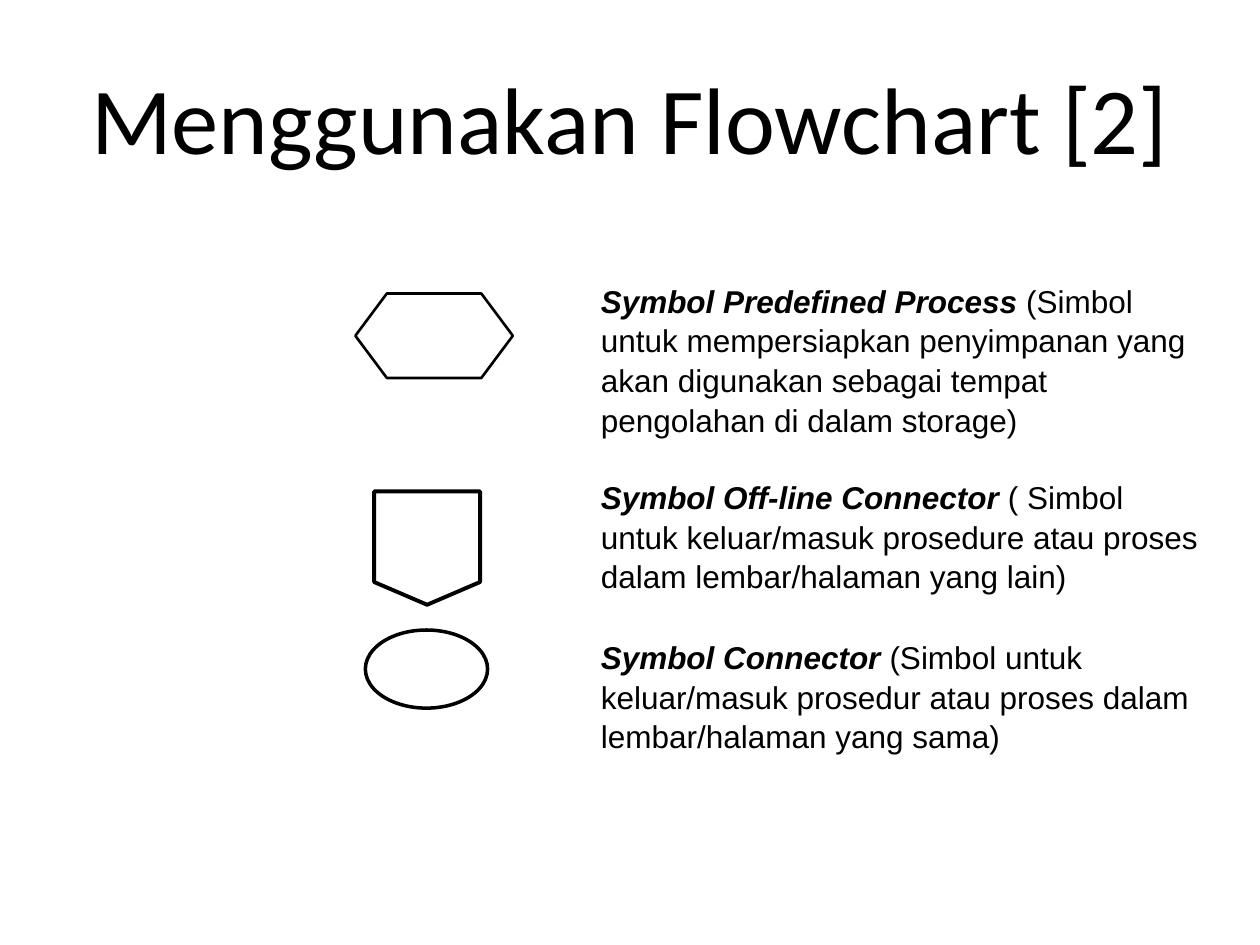
from dataclasses import dataclass

from pptx import Presentation
from pptx.dml.color import RGBColor
from pptx.enum.shapes import MSO_SHAPE
from pptx.enum.text import MSO_ANCHOR, PP_ALIGN
from pptx.util import Inches, Pt


@dataclass(frozen=True)
class Theme:
    ink: RGBColor = RGBColor(0, 0, 0)
    paper: RGBColor = RGBColor(255, 255, 255)
    title_font: str = "Calibri"
    body_font: str = "Arial"
    title_size: int = 54
    body_size: int = 18
    body_spacing: float = 1.05


class FlowchartSlide:
    """Holds the theme and the slide, and adds each kind of element."""

    def __init__(self, prs, theme):
        self.theme = theme
        self.s = prs.slides.add_slide(prs.slide_layouts[5])

    def add_run(self, p, text, font, size, strong=False):
        r = p.add_run()
        r.text = text
        r.font.name, r.font.size = font, Pt(size)
        r.font.bold = r.font.italic = strong
        r.font.color.rgb = self.theme.ink

    def title(self, text):
        sp = self.s.shapes.title
        sp.left, sp.top = Inches(0.5), Inches(0.3)
        sp.width, sp.height = Inches(9), Inches(1.25)
        tf = sp.text_frame
        tf.vertical_anchor = MSO_ANCHOR.MIDDLE
        p = tf.paragraphs[0]
        p.alignment = PP_ALIGN.CENTER
        self.add_run(p, text, self.theme.title_font, self.theme.title_size)

    def symbol(self, kind, box, weight):
        sp = self.s.shapes.add_shape(kind, *map(Inches, box))
        sp.shadow.inherit = False
        sp.fill.solid()
        sp.fill.fore_color.rgb = self.theme.paper
        sp.line.color.rgb = self.theme.ink
        sp.line.width = Pt(weight)

    def description(self, top, height, name, meaning):
        sp = self.s.shapes.add_textbox(Inches(4.67), Inches(top), Inches(5), Inches(height))
        tf = sp.text_frame
        tf.word_wrap = True
        p = tf.paragraphs[0]
        p.line_spacing = self.theme.body_spacing
        for text, strong in ((name, True), (meaning, False)):
            self.add_run(p, text, self.theme.body_font, self.theme.body_size, strong)


SYMBOLS = [
    (MSO_SHAPE.FLOWCHART_PREPARATION, (2.82, 2.33, 1.25, 0.67), 1.5, 2.17, 1.31,
     "Symbol Predefined Process",
     " (Simbol untuk mempersiapkan penyimpanan yang akan digunakan sebagai tempat "
     "pengolahan di dalam storage)"),
    (MSO_SHAPE.FLOWCHART_OFFPAGE_CONNECTOR, (2.97, 3.9, 0.84, 0.9), 2.25, 3.73, 1.01,
     "Symbol Off-line Connector",
     " ( Simbol untuk keluar/masuk prosedure atau proses dalam lembar/halaman yang lain)"),
    (MSO_SHAPE.OVAL, (2.9, 5, 0.97, 0.62), 2, 5, 1.01,
     "Symbol Connector",
     " (Simbol untuk keluar/masuk prosedur atau proses dalam lembar/halaman yang sama)"),
]


def main():
    prs = Presentation()
    prs.slide_width, prs.slide_height = Inches(10), Inches(7.5)
    slide = FlowchartSlide(prs, Theme())
    slide.title("Menggunakan Flowchart [2]")
    for kind, box, weight, top, height, name, meaning in SYMBOLS:
        slide.symbol(kind, box, weight)
        slide.description(top, height, name, meaning)
    prs.save("out.pptx")


if __name__ == "__main__":
    main()
